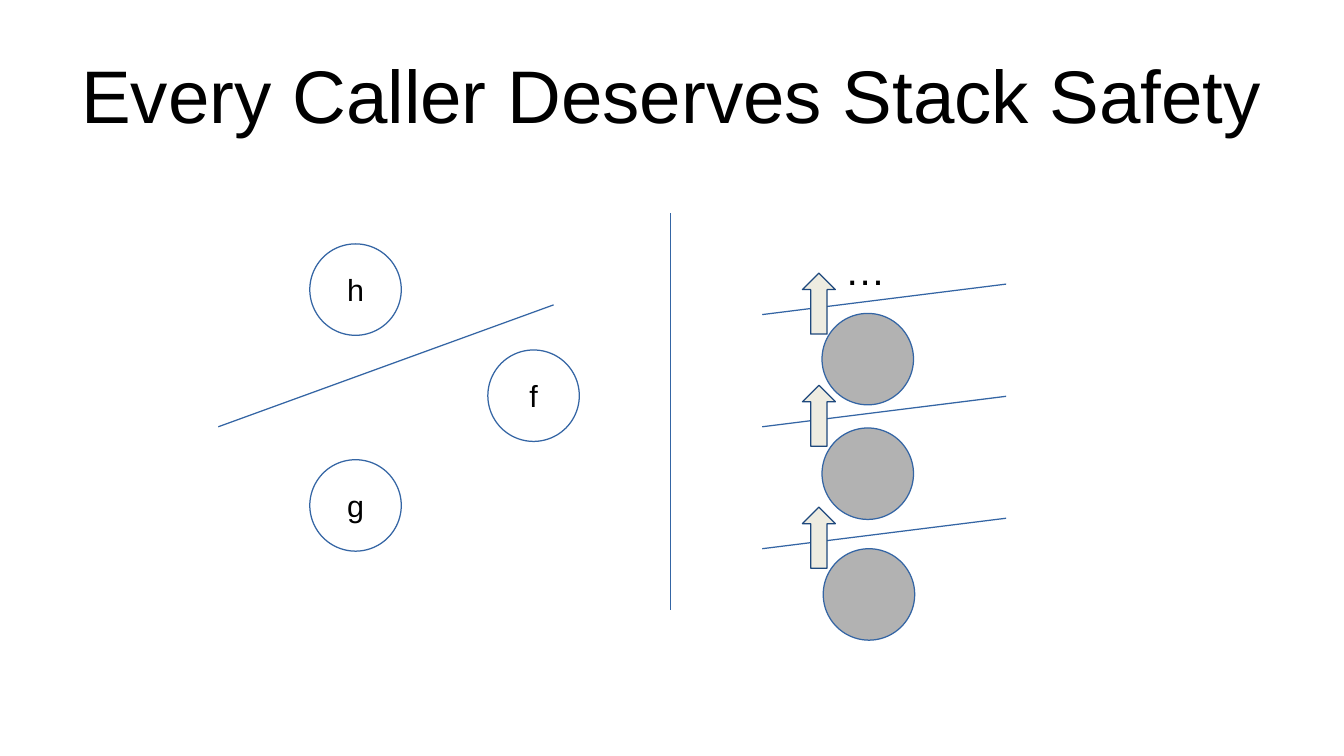
from pptx import Presentation
from pptx import util as u
from pptx.dml.color import RGBColor
from pptx.enum import shapes, text
from pptx.oxml import parse_xml
from pptx.oxml.ns import nsdecls

BLACK = RGBColor(0x00, 0x00, 0x00)
BLUE = RGBColor(0x34, 0x65, 0xA4)
NAVY = RGBColor(0x1F, 0x49, 0x7D)
GRAY = RGBColor(0xB2, 0xB2, 0xB2)
CREAM = RGBColor(0xEE, 0xEC, 0xE1)
DIAMETER = 0.75


def write(frame, words, size=18, color=BLACK, font="Arial",
          align=text.PP_ALIGN.CENTER, anchor=text.MSO_ANCHOR.MIDDLE):
    frame.word_wrap = True
    frame.auto_size = text.MSO_AUTO_SIZE.NONE
    frame.vertical_anchor = anchor
    paragraph = frame.paragraphs[0]
    paragraph.alignment = align
    run = paragraph.add_run()
    run.text = words
    run.font.size = u.Pt(size)
    run.font.name = font
    run.font.color.rgb = color


class StackSlide:
    line_width = u.Pt(0.75)

    def __init__(self, slide):
        self.slide = slide

    def title(self, words, left, top, width, height):
        heading = self.slide.shapes.title
        heading.left, heading.top = u.Inches(left), u.Inches(top)
        heading.width, heading.height = u.Inches(width), u.Inches(height)
        frame = heading.text_frame
        frame.margin_left = frame.margin_right = 0
        frame.margin_top = frame.margin_bottom = 0
        write(frame, words, size=44)

    def preset(self, kind, left, top, width, height, fill=None, line=BLUE):
        outline = self.slide.shapes.add_shape(
            kind, u.Inches(left), u.Inches(top), u.Inches(width), u.Inches(height))
        outline.shadow.inherit = False
        if fill is None:
            outline.fill.background()
        else:
            outline.fill.solid()
            outline.fill.fore_color.rgb = fill
        outline.line.color.rgb = line
        outline.line.width = self.line_width
        return outline

    def circle(self, left, top, label=None, fill=None):
        circle = self.preset(shapes.MSO_SHAPE.OVAL, left, top, DIAMETER, DIAMETER, fill)
        if label:
            write(circle.text_frame, label)

    def up_arrow(self, left, top):
        self.preset(shapes.MSO_SHAPE.UP_ARROW, left, top, 0.27, 0.5, CREAM, NAVY)

    def line(self, x1, y1, x2, y2):
        line = self.slide.shapes.add_connector(
            shapes.MSO_CONNECTOR.STRAIGHT,
            u.Inches(x1), u.Inches(y1), u.Inches(x2), u.Inches(y2))
        line.line.color.rgb = BLUE
        line.line.width = self.line_width
        line._element.spPr.append(parse_xml(f"<a:effectLst {nsdecls('a')}/>"))

    def label(self, words, left, top, width, height):
        box = self.slide.shapes.add_textbox(
            u.Inches(left), u.Inches(top), u.Inches(width), u.Inches(height))
        write(box.text_frame, words, size=24, align=text.PP_ALIGN.LEFT,
              anchor=text.MSO_ANCHOR.TOP)


def main():
    deck = Presentation()
    deck.slide_width, deck.slide_height = u.Inches(11.02), u.Inches(6.2)
    page = StackSlide(deck.slides.add_slide(deck.slide_layouts[5]))

    page.title("Every Caller Deserves Stack Safety", 0.55, 0.25, 9.92, 1.04)

    for function, left, top in (("h", 2.54, 2), ("g", 2.54, 3.77), ("f", 4, 2.87)):
        page.circle(left, top, label=function)
    page.line(1.79, 3.5, 4.54, 2.5)
    page.line(5.5, 1.75, 5.5, 5)

    for left, top in ((6.75, 4.5), (6.74, 3.51), (6.74, 2.57)):
        page.circle(left, top, fill=GRAY)
    page.label("…", 6.83, 1.96, 0.53, 0.63)

    boundaries = (4.5, 3.5, 2.58)
    for boundary in boundaries:
        page.line(6.25, boundary, 8.25, boundary - 0.25)
    for boundary in boundaries:
        page.up_arrow(6.58, boundary - 0.34)

    deck.save("out.pptx")


if __name__ == "__main__":
    main()
